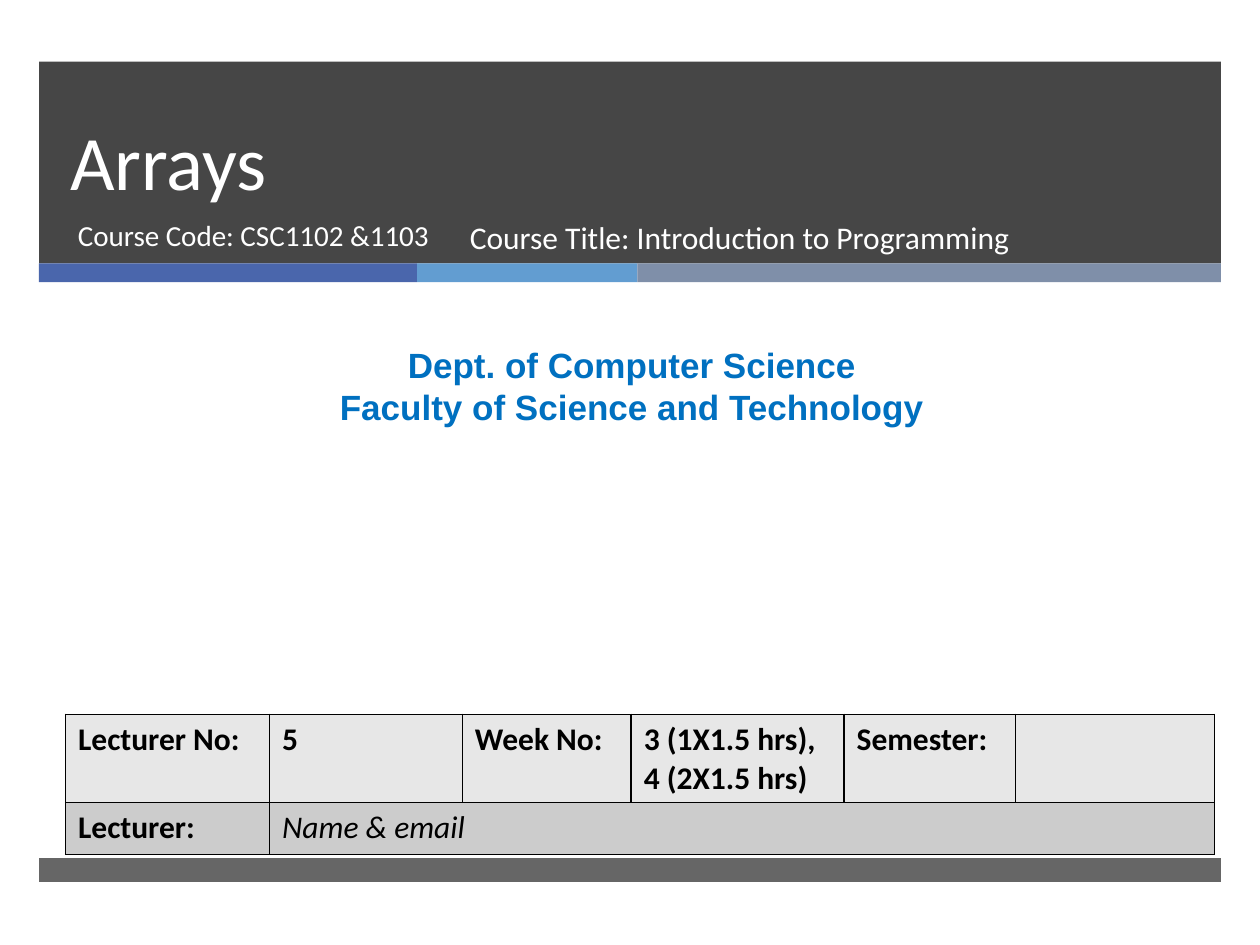
from lxml import etree
from pptx import Presentation
from pptx.dml.color import RGBColor
from pptx.enum.shapes import MSO_SHAPE
from pptx.enum.text import MSO_ANCHOR, PP_ALIGN
from pptx.oxml.ns import qn
from pptx.util import Inches, Pt

RECTANGLE = MSO_SHAPE.RECTANGLE
TOP, BOTTOM = MSO_ANCHOR.TOP, MSO_ANCHOR.BOTTOM
LEFT, CENTER = PP_ALIGN.LEFT, PP_ALIGN.CENTER

COLORS = {
    "dark": "262626",
    "indigo": "4A66AC",
    "sky": "629DD1",
    "slate": "7F8FA9",
    "white": "FFFFFF",
    "black": "000000",
    "department": "0070C0",
    "light_row": "E7E7E7",
    "dark_row": "CCCCCC",
}


class SlideBuilder:
    """Holds the style and the current slide."""

    def __init__(self, slide, font="Calibri"):
        self.slide = slide
        self.font = font

    def color(self, name):
        return RGBColor.from_string(COLORS[name])

    def format_text(self, text_frame, size, color, font=None, bold=False,
                    italic=False, align=LEFT, line_spacing=None):
        for paragraph in text_frame.paragraphs:
            paragraph.alignment = align
            if line_spacing:
                paragraph.line_spacing = Pt(line_spacing)
            for item in (paragraph, *paragraph.runs):
                item.font.name = font or self.font
                item.font.size = Pt(size)
                item.font.bold = bold
                item.font.italic = italic
                item.font.color.rgb = self.color(color)

    def bar(self, left, top, width, height, color, opacity=100):
        shape = self.slide.shapes.add_shape(
            RECTANGLE, Inches(left), Inches(top), Inches(width), Inches(height))
        shape.shadow.inherit = False
        shape.line.fill.background()
        shape.fill.solid()
        shape.fill.fore_color.rgb = self.color(color)
        if opacity < 100:
            fill_color = shape.fill._xPr.find(".//" + qn("a:srgbClr"))
            etree.SubElement(fill_color, qn("a:alpha"), val=str(opacity * 1000))

    def text(self, left, top, width, height, text, size, color,
             anchor=TOP, **style):
        box = self.slide.shapes.add_textbox(
            Inches(left), Inches(top), Inches(width), Inches(height))
        text_frame = box.text_frame
        text_frame.word_wrap = True
        text_frame.vertical_anchor = anchor
        text_frame.text = text
        self.format_text(text_frame, size, color, **style)

    def cell(self, cell, text, fill, **style):
        cell.text = text
        self.format_text(cell.text_frame, 18, "black", **style)
        properties = cell._tc.get_or_add_tcPr()
        for side in ("lnL", "lnR", "lnT", "lnB"):
            line = etree.SubElement(properties, qn("a:" + side), w=str(Pt(1)))
            line_fill = etree.SubElement(line, qn("a:solidFill"))
            etree.SubElement(line_fill, qn("a:srgbClr"), val=COLORS["black"])
        cell.fill.solid()
        cell.fill.fore_color.rgb = self.color(fill)

    def table(self, left, top, column_widths, row_heights):
        table = self.slide.shapes.add_table(
            len(row_heights), len(column_widths), Inches(left), Inches(top),
            Inches(sum(column_widths)), Inches(sum(row_heights))).table
        for column, width in zip(table.columns, column_widths):
            column.width = Inches(width)
        for row, height in zip(table.rows, row_heights):
            row.height = Inches(height)
        return table


def main():
    presentation = Presentation()
    presentation.slide_width = Inches(10)
    presentation.slide_height = Inches(7.5)
    slide = presentation.slides.add_slide(presentation.slide_layouts[6])
    builder = SlideBuilder(slide)

    # Header band, three-colour stripe and footer band
    margin, band_width = 0.31, 9.38
    builder.bar(margin, 0.49, band_width, 1.6, "dark", opacity=85)
    left = margin
    for width, color in ((3, "indigo"), (1.75, "sky"), (4.63, "slate")):
        builder.bar(left, 2.09, width, 0.15, color)
        left += width
    builder.bar(margin, 6.81, band_width, 0.19, "dark", opacity=70)

    # Title and course details
    builder.text(0.46, 0.49, 8.54, 1.19, "Arrays", 44, "white",
                 anchor=BOTTOM, line_spacing=46)
    builder.text(0.52, 1.68, 3.21, 0.53, "Course Code: CSC1102 &1103",
                 16.6, "white")
    builder.text(3.63, 1.68, 4.55, 0.53,
                 "Course Title: Introduction to Programming", 18, "white")

    # Department
    builder.text(0.08, 2.68, 9.87, 0.77,
                 "Dept. of Computer Science\nFaculty of Science and Technology",
                 20, "department", font="Arial", bold=True, align=CENTER)

    # Lecture details
    table = builder.table(0.52, 5.67, (1.62, 1.53, 1.34, 1.69, 1.36, 1.58),
                          (0.7, 0.41))
    lecture = ("Lecturer No:", "5", "Week No:",
               "3 (1X1.5 hrs),\n4 (2X1.5 hrs)", "Semester:", "")
    lecturer = ("Lecturer:", "Name & email", "", "", "", "")
    table.cell(1, 1).merge(table.cell(1, 5))
    rows = ((lecture, "light_row"), (lecturer, "dark_row"))
    for row, (texts, fill) in enumerate(rows):
        for column, text in enumerate(texts):
            is_name = row == 1 and column > 0
            builder.cell(table.cell(row, column), text, fill,
                         bold=not is_name, italic=is_name)

    presentation.save("out.pptx")


if __name__ == "__main__":
    main()
